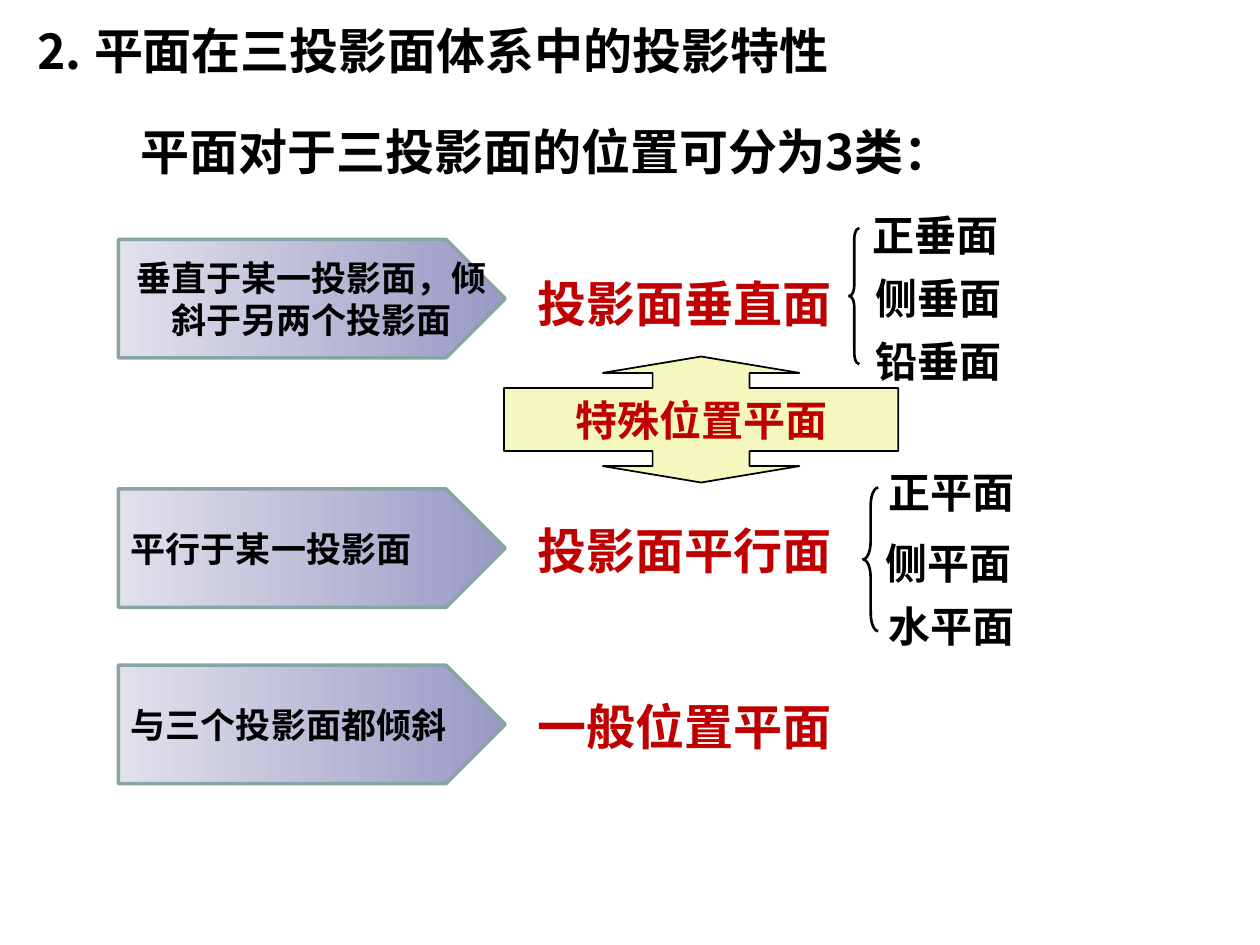
from pptx import Presentation
from pptx.dml.color import RGBColor
from pptx.enum.shapes import MSO_SHAPE
from pptx.enum.text import MSO_ANCHOR, MSO_AUTO_SIZE, PP_ALIGN
from pptx.oxml.ns import qn
from pptx.util import Inches, Pt

PENTAGON = MSO_SHAPE.PENTAGON
CALLOUT = MSO_SHAPE.UP_DOWN_ARROW_CALLOUT
BRACE = MSO_SHAPE.LEFT_BRACE
MIDDLE = MSO_ANCHOR.MIDDLE
LEFT, CENTER = PP_ALIGN.LEFT, PP_ALIGN.CENTER

CHINESE_FONT = "Noto Sans CJK SC"
BLACK, RED, YELLOW = "000000", "C00000", "F4F8BE"
LIGHT_VIOLET, VIOLET, GREY_GREEN = "E1E1EC", "9999C5", "89A4A7"

TITLE = "⒉ 平面在三投影面体系中的投影特性"
INTRODUCTION = "平面对于三投影面的位置可分为3类："
SPECIAL = "特殊位置平面"
# Each row: condition, its alignment, category, arrow top, category top
ROWS = [
    ("垂直于某一投影面，倾斜于另两个投影面", CENTER, "投影面垂直面", 1.9, 2.12),
    ("平行于某一投影面", LEFT, "投影面平行面", 3.88, 4.08),
    ("与三个投影面都倾斜", LEFT, "一般位置平面", 5.28, 5.48),
]
# Each group: brace box, brace curvature, members as (text, left, top)
GROUPS = [
    ((6.74, 1.81, 0.08, 1.08), 1.08,
     [("正垂面", 6.83, 1.61), ("侧垂面", 6.85, 2.11), ("铅垂面", 6.85, 2.61)]),
    ((6.85, 3.87, 0.12, 1.14), 1.19,
     [("正平面", 6.95, 3.65), ("侧平面", 6.93, 4.22), ("水平面", 6.95, 4.72)]),
]

ARROW_LEFT, ARROW_WIDTH, ARROW_HEIGHT = 0.94, 3.07, 0.94
CATEGORY_LEFT, CATEGORY_WIDTH, LINE_HEIGHT = 4.17, 2.93, 0.57
MEMBER_WIDTH, MEMBER_HEIGHT = 1.3, 0.5
# Cancels the narrower text area of the arrow's tip, a quarter of its height
ARROW_RIGHT_INSET = 0.1 - ARROW_HEIGHT / 4


def color(value):
    return RGBColor.from_string(value)


def write(shape, text, size, font="Times New Roman", ink=BLACK,
          align=LEFT, right_inset=0.1):
    frame = shape.text_frame
    frame.word_wrap = True
    frame.auto_size = MSO_AUTO_SIZE.NONE
    frame.vertical_anchor = MIDDLE
    frame.margin_left, frame.margin_right = Inches(0.1), Inches(right_inset)
    frame.margin_top = frame.margin_bottom = Inches(0.05)
    paragraph = frame.paragraphs[0]
    paragraph.alignment = align
    run = paragraph.add_run()
    run.text = text
    run.font.size = Pt(size)
    run.font.bold = True
    run.font.color.rgb = color(ink)
    run.font.name = font
    east_asian = run.font._element.makeelement(
        qn("a:ea"), {"typeface": CHINESE_FONT})
    run.font._element.find(qn("a:latin")).addnext(east_asian)


def add_text(slide, box, text, size, **formatting):
    shape = slide.shapes.add_textbox(*map(Inches, box))
    write(shape, text, size, **formatting)


def add_outline(slide, kind, box, line, width, adjustments=()):
    """Add an unfilled preset shape with the given line and adjustments."""
    shape = slide.shapes.add_shape(kind, *map(Inches, box))
    shape.shadow.inherit = False
    shape.fill.background()
    shape.line.color.rgb = color(line)
    shape.line.width = Pt(width)
    for index, value in enumerate(adjustments):
        shape.adjustments[index] = value
    return shape


def add_condition(slide, text, align, top):
    box = (ARROW_LEFT, top, ARROW_WIDTH, ARROW_HEIGHT)
    arrow = add_outline(slide, PENTAGON, box, GREY_GREEN, 2, [0.5])
    arrow.fill.gradient()
    arrow.fill.gradient_angle = 0
    for stop, shade in zip(arrow.fill.gradient_stops, (LIGHT_VIOLET, VIOLET)):
        stop.color.rgb = color(shade)
    for stop, position in zip(arrow.fill.gradient_stops, (0, 1)):
        stop.position = position
    write(arrow, text, 20, font="Arial", align=align,
          right_inset=ARROW_RIGHT_INSET)


def main():
    presentation = Presentation()
    presentation.slide_width, presentation.slide_height = Inches(10), Inches(7.5)
    slide = presentation.slides.add_slide(presentation.slide_layouts[5])

    title = slide.shapes.title
    title.left, title.top = Inches(0.17), Inches(0.11)
    title.width, title.height = Inches(8.69), Inches(LINE_HEIGHT)
    write(title, TITLE, 28, font=CHINESE_FONT)
    add_text(slide, (1.02, 0.91, 8.03, LINE_HEIGHT), INTRODUCTION, 28,
             font=CHINESE_FONT)

    callout = add_outline(slide, CALLOUT, (4, 2.83, 3.13, 1), BLACK, 1,
                          [0.77, 0.78, 0.13, 0.5])
    callout.fill.solid()
    callout.fill.fore_color.rgb = color(YELLOW)
    write(callout, SPECIAL, 24, font="Arial", ink=RED, align=CENTER)

    for condition, align, category, arrow_top, category_top in ROWS:
        add_condition(slide, condition, align, arrow_top)
        box = (CATEGORY_LEFT, category_top, CATEGORY_WIDTH, LINE_HEIGHT)
        add_text(slide, box, category, 28, ink=RED)

    for brace_box, curvature, members in GROUPS:
        add_outline(slide, BRACE, brace_box, BLACK, 1.5, [curvature, 0.5])
        for text, left, top in members:
            add_text(slide, (left, top, MEMBER_WIDTH, MEMBER_HEIGHT), text, 24)

    presentation.save("out.pptx")


if __name__ == "__main__":
    main()
